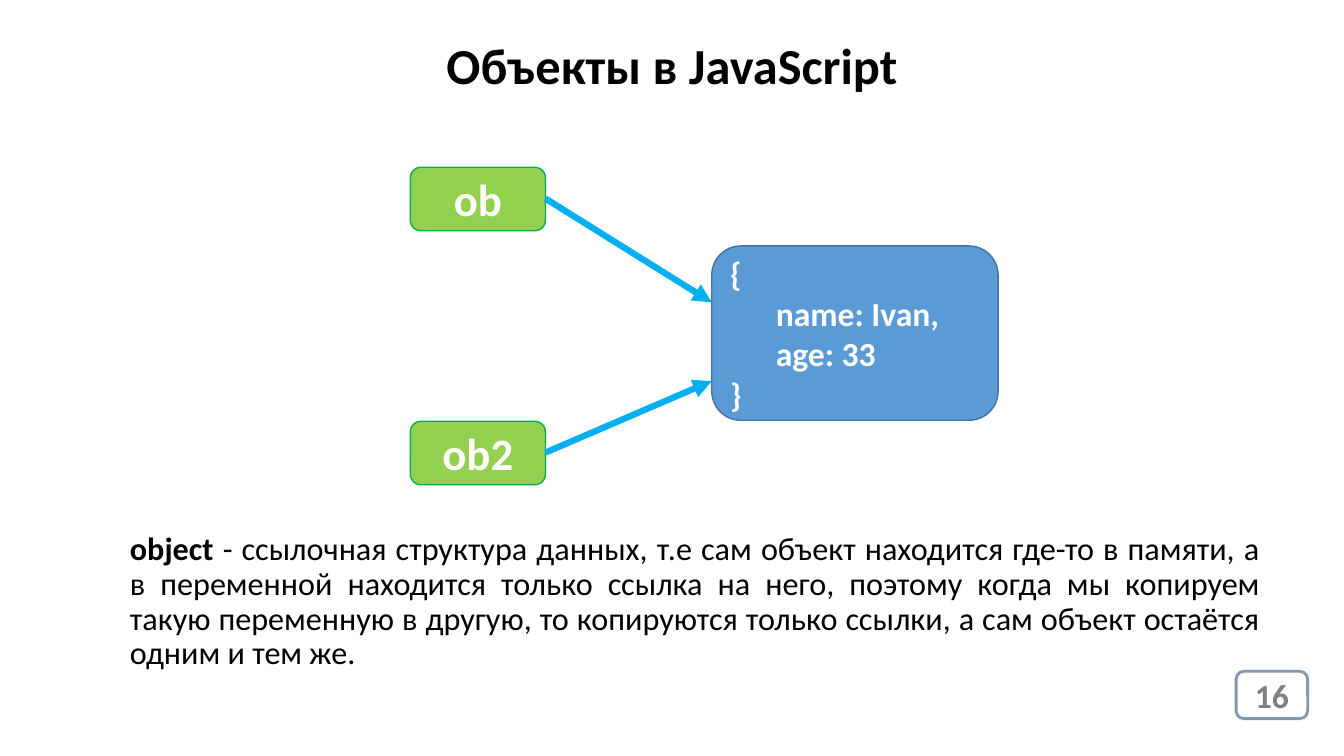
from dataclasses import dataclass

from lxml import etree
from pptx import Presentation
from pptx.dml.color import RGBColor
from pptx.enum.shapes import MSO_CONNECTOR, MSO_SHAPE
from pptx.enum.text import MSO_ANCHOR, PP_ALIGN
from pptx.oxml.ns import qn
from pptx.util import Pt

ROUNDED = MSO_SHAPE.ROUNDED_RECTANGLE
STRAIGHT = MSO_CONNECTOR.STRAIGHT
MIDDLE = MSO_ANCHOR.MIDDLE
LEFT, CENTER, JUSTIFY = PP_ALIGN.LEFT, PP_ALIGN.CENTER, PP_ALIGN.JUSTIFY

EMU_PER_PX = 9144  # 100 px to the inch
SLIDE_W, SLIDE_H = 1333, 750


@dataclass(frozen=True)
class Theme:
    font: str = "Calibri"
    ink: str = "000000"
    light: str = "FFFFFF"
    page_ink: str = "808080"
    page_edge: str = "8497B0"
    variable_fill: str = "92D050"
    variable_edge: str = "00B050"
    object_fill: str = "5B9BD5"
    object_edge: str = "43739E"
    arrow: str = "00B0F0"
    heading_size: int = 36
    variable_size: int = 32
    code_size: int = 24
    body_size: int = 23


THEME = Theme()


def px(*lengths):
    return [length * EMU_PER_PX for length in lengths]


def rgb(colour):
    return RGBColor.from_string(colour)


def write(frame, paragraphs, size, colour, align, spacing=None):
    """Each paragraph is a list of (text, bold) runs."""
    frame.word_wrap = True
    frame.vertical_anchor = MIDDLE
    for index, runs in enumerate(paragraphs):
        paragraph = frame.paragraphs[0] if index == 0 else frame.add_paragraph()
        paragraph.alignment = align
        if spacing:
            paragraph.line_spacing = spacing
        for text, bold in runs:
            run = paragraph.add_run()
            run.text = text
            run.font.name = THEME.font
            run.font.size = Pt(size)
            run.font.bold = bold
            run.font.color.rgb = rgb(colour)


def add_text(slide, box, runs, size, align, spacing=None):
    label = slide.shapes.add_textbox(*px(*box))
    write(label.text_frame, [runs], size, THEME.ink, align, spacing)


def add_card(slide, box, lines, fill, edge, size, colour=THEME.light,
             align=CENTER, edge_width=1):
    card = slide.shapes.add_shape(ROUNDED, *px(*box))
    card.shadow.inherit = False
    card.fill.solid()
    card.fill.fore_color.rgb = rgb(fill)
    card.line.color.rgb = rgb(edge)
    card.line.width = Pt(edge_width)
    write(card.text_frame, [[(line, True)] for line in lines], size, colour, align)


def add_arrow(slide, start, end):
    arrow = slide.shapes.add_connector(STRAIGHT, *px(*start, *end))
    arrow.line.color.rgb = rgb(THEME.arrow)
    arrow.line.width = Pt(4.5)
    etree.SubElement(arrow.line._get_or_add_ln(), qn("a:tailEnd"), type="triangle")
    etree.SubElement(arrow._element.spPr, qn("a:effectLst"))


def main():
    deck = Presentation()
    deck.slide_width, deck.slide_height = px(SLIDE_W, SLIDE_H)
    slide = deck.slides.add_slide(deck.slide_layouts[6])

    # Page number
    add_card(slide, (1226, 666, 71, 47), ["16"], THEME.light, THEME.page_edge,
             THEME.code_size, THEME.page_ink, edge_width=2)

    # Explanation
    explanation = [
        ("object", True),
        (" - ссылочная структура данных, т.е сам объект находится где-то в памяти, "
         "а в переменной находится только ссылка на него, поэтому когда мы копируем "
         "такую переменную в другую, то копируются только ссылки, а сам объект "
         "остаётся одним и тем же.", False),
    ]
    add_text(slide, (119, 515, 1142, 165), explanation, THEME.body_size, JUSTIFY, 0.9)

    # Object in memory
    object_left = 706
    add_card(slide, (object_left, 244, 284, 173),
             ["{", "      name: Ivan,", "      age: 33", "}"],
             THEME.object_fill, THEME.object_edge, THEME.code_size, align=LEFT)

    # Variables and their references to the object
    left, width, height = 407, 134, 63
    for name, top, target_y in (("ob", 166, 300), ("ob2", 418, 378)):
        add_card(slide, (left, top, width, height), [name],
                 THEME.variable_fill, THEME.variable_edge, THEME.variable_size)
        add_arrow(slide, (left + width, top + height // 2), (object_left, target_y))

    # Heading
    add_text(slide, (0, 30, SLIDE_W, 67), [("Объекты в JavaScript", True)],
             THEME.heading_size, CENTER)

    deck.save("out.pptx")


if __name__ == "__main__":
    main()
